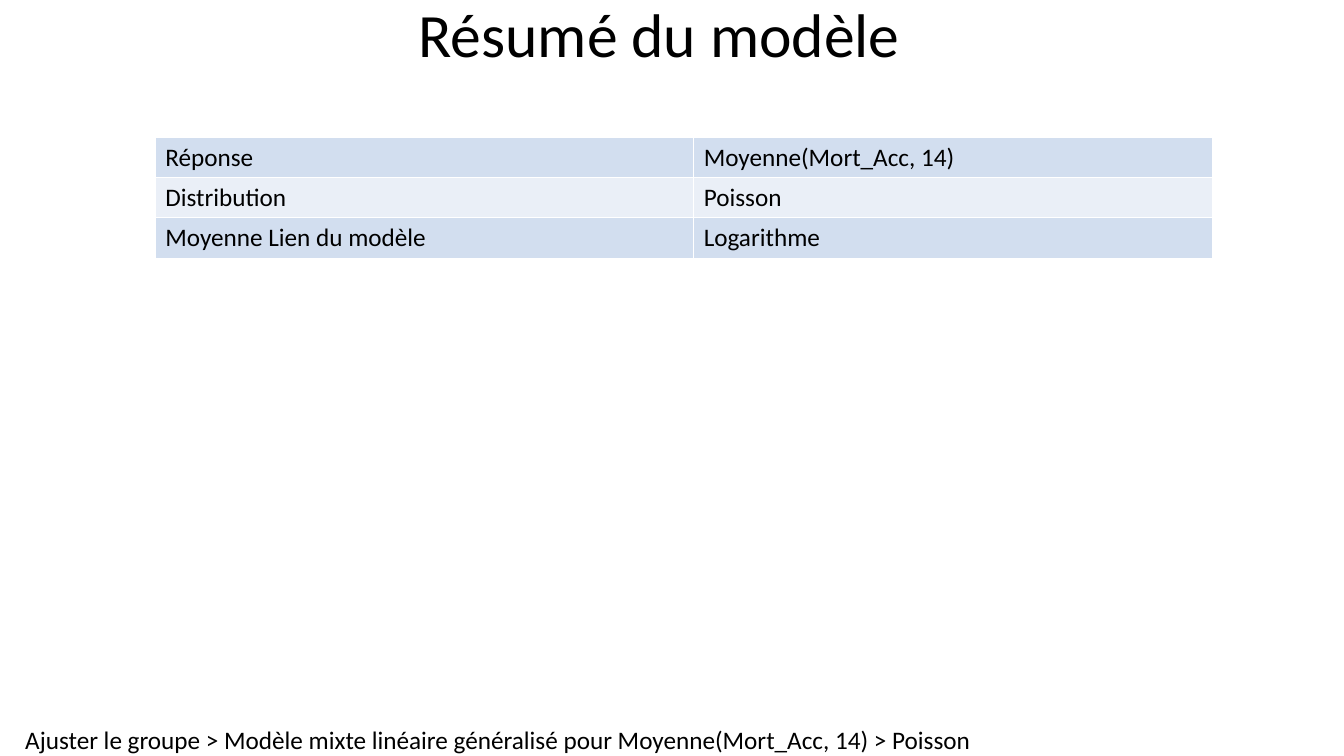
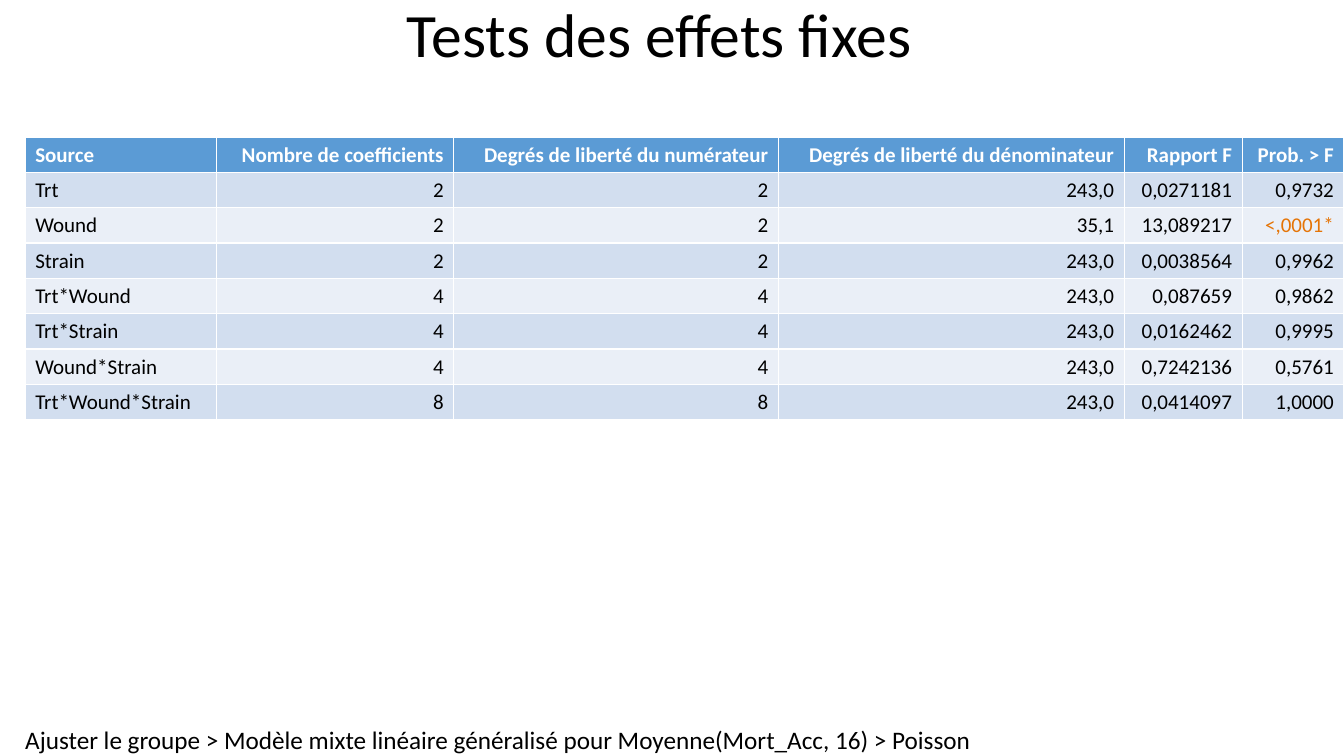
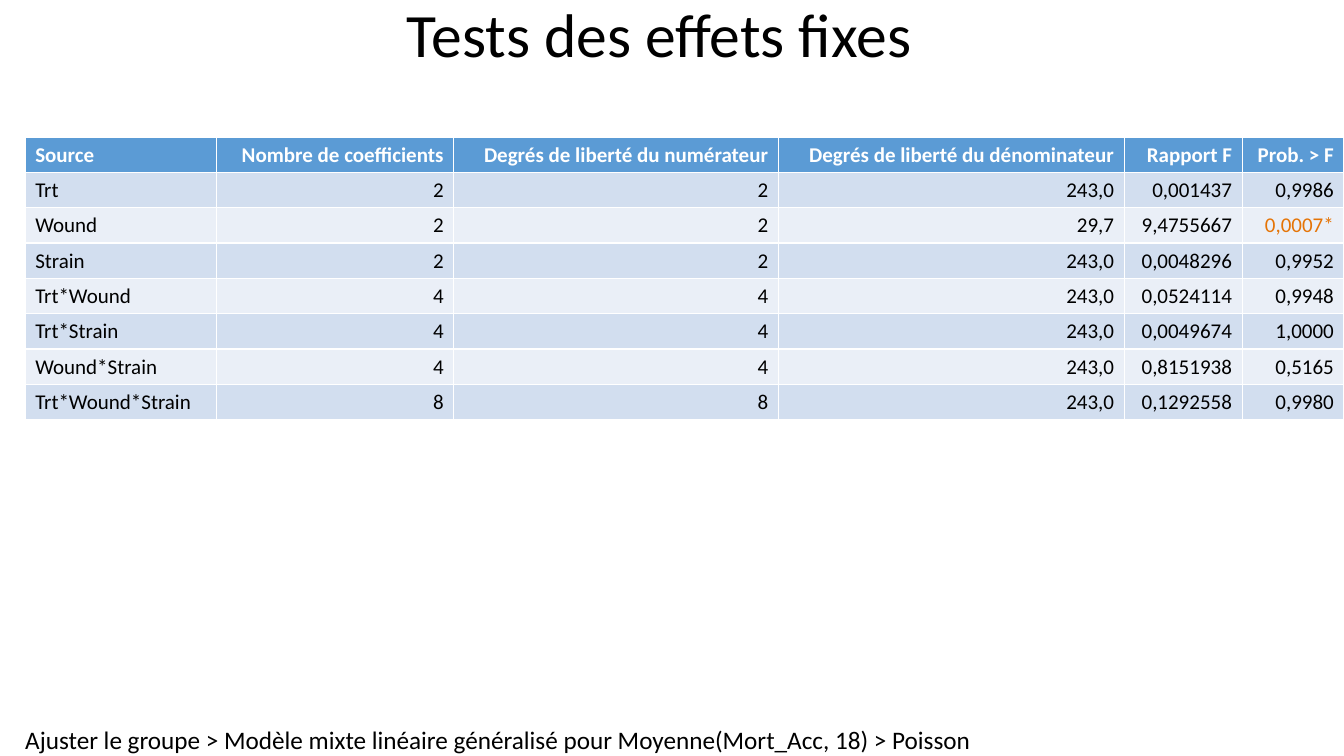
from dataclasses import dataclass

from pptx import Presentation
from pptx.dml.color import RGBColor as Rgb
from pptx.enum.text import MSO_ANCHOR as Anchor
from pptx.enum.text import MSO_AUTO_SIZE as AutoSize
from pptx.enum.text import PP_ALIGN as Align
from pptx.util import Inches, Pt


@dataclass(frozen=True)
class Theme:
    font: str = "Calibri"
    text: str = "000000"
    header_text: str = "FFFFFF"
    significant: str = "E57406"
    header_fill: str = "5B9BD5"
    bands: tuple = ("D2DEEF", "EAEFF7")
    title_size: int = 44
    body_size: int = 18
    table_size: int = 15


# Grid of quarter-inch squares; the left margin is one column
UNIT = 0.25
WIDTH, HEIGHT = 13.33 / UNIT, 7.5 / UNIT
MARGIN = 1
TABLE_TOP = 5.44
FOOTER_HEIGHT = 1.24


def grid(count):
    return Inches(count * UNIT)


def assign(target, values):
    for name, value in values.items():
        setattr(target, name, value)


class ReportDeck:
    """Holds the theme, the presentation and the current slide."""

    def __init__(self, theme):
        self.theme = theme
        self.deck = Presentation()
        assign(self.deck, {"slide_width": grid(WIDTH), "slide_height": grid(HEIGHT)})
        self.page = None

    def add_text(self, frame, text, size, color=None, bold=False, **layout):
        para = frame.paragraphs[0]
        assign(para, layout)
        span = para.add_run()
        span.text = text
        assign(span.font, {"name": self.theme.font, "size": Pt(size), "bold": bold})
        span.font.color.rgb = Rgb.from_string(color or self.theme.text)

    def add_page(self, title, footer):
        self.page = self.deck.slides.add_slide(self.deck.slide_layouts[5])
        self.title(title)
        self.footer(footer)

    def title(self, text):
        box = self.page.shapes.title
        assign(box, {"left": 0, "top": 0,
                     "width": grid(WIDTH - MARGIN), "height": grid(3)})
        assign(box.text_frame, {"vertical_anchor": Anchor.MIDDLE, "word_wrap": True,
                                "auto_size": AutoSize.NONE})
        self.add_text(box.text_frame, text, self.theme.title_size,
                      alignment=Align.CENTER, line_spacing=0.9)

    def footer(self, text):
        box = self.page.shapes.add_textbox(
            grid(MARGIN), grid(HEIGHT - FOOTER_HEIGHT), grid(37.64), grid(FOOTER_HEIGHT))
        assign(box.text_frame, {
            "margin_left": 0, "margin_top": 0, "margin_right": 0, "margin_bottom": 0,
            "word_wrap": False, "auto_size": AutoSize.SHAPE_TO_FIT_TEXT})
        self.add_text(box.text_frame, text, self.theme.body_size, alignment=Align.LEFT)

    def table(self, rows, left, columns, row_height, size, header=False, numeric=False):
        theme = self.theme
        table = self.page.shapes.add_table(
            len(rows), len(columns), grid(left), grid(TABLE_TOP),
            grid(sum(columns)), grid(row_height * len(rows))).table
        assign(table, {"first_row": header, "horz_banding": True})
        for column, width in zip(table.columns, columns):
            column.width = grid(width)
        for r, row in enumerate(rows):
            is_header = header and r == 0
            fill = theme.header_fill if is_header else theme.bands[(r - header) % 2]
            for c, text in enumerate(row):
                cell = table.cell(r, c)
                cell.fill.solid()
                cell.fill.fore_color.rgb = Rgb.from_string(fill)
                color = theme.text
                if is_header:
                    color = theme.header_text
                elif text.endswith("*"):
                    color = theme.significant
                self.add_text(cell.text_frame, text, size, color, is_header,
                              alignment=Align.RIGHT if numeric and c else Align.LEFT)


# Content
FOOTER = "Ajuster le groupe > Modèle mixte linéaire généralisé pour Moyenne(Mort_Acc, {}) > Poisson"
SUMMARY = [
    ("Réponse", "Moyenne(Mort_Acc, 14)"),
    ("Distribution", "Poisson"),
    ("Moyenne Lien du modèle", "Logarithme"),
]
HEADINGS = ("Source", "Nombre de coefficients", "Degrés de liberté du numérateur",
            "Degrés de liberté du dénominateur", "Rapport F", "Prob. > F")
EFFECTS = (("Trt", "2"), ("Wound", "2"), ("Strain", "2"), ("Trt*Wound", "4"),
           ("Trt*Strain", "4"), ("Wound*Strain", "4"), ("Trt*Wound*Strain", "8"))
EFFECT_COLUMNS = (7.6, 9.4, 12.88, 13.72, 4.68, 4.04)

# Per response day: denominator degrees of freedom, F ratio, probability
TESTS = {
    16: [("243,0", "0,0271181", "0,9732"), ("35,1", "13,089217", "<,0001*"),
         ("243,0", "0,0038564", "0,9962"), ("243,0", "0,087659", "0,9862"),
         ("243,0", "0,0162462", "0,9995"), ("243,0", "0,7242136", "0,5761"),
         ("243,0", "0,0414097", "1,0000")],
    18: [("243,0", "0,001437", "0,9986"), ("29,7", "9,4755667", "0,0007*"),
         ("243,0", "0,0048296", "0,9952"), ("243,0", "0,0524114", "0,9948"),
         ("243,0", "0,0049674", "1,0000"), ("243,0", "0,8151938", "0,5165"),
         ("243,0", "0,1292558", "0,9980")],
}


def main():
    theme = Theme()
    report = ReportDeck(theme)

    # Model summary
    report.add_page("Résumé du modèle", FOOTER.format(14))
    report.table(SUMMARY, 6.16, (21.36, 20.6), 1.6, theme.body_size)

    # Fixed effect tests
    for day, results in TESTS.items():
        report.add_page("Tests des effets fixes", FOOTER.format(day))
        rows = [(name, count, count, *result)
                for (name, count), result in zip(EFFECTS, results)]
        report.table([HEADINGS, *rows], MARGIN, EFFECT_COLUMNS, 1.4, theme.table_size,
                     header=True, numeric=True)

    report.deck.save("out.pptx")


if __name__ == "__main__":
    main()
